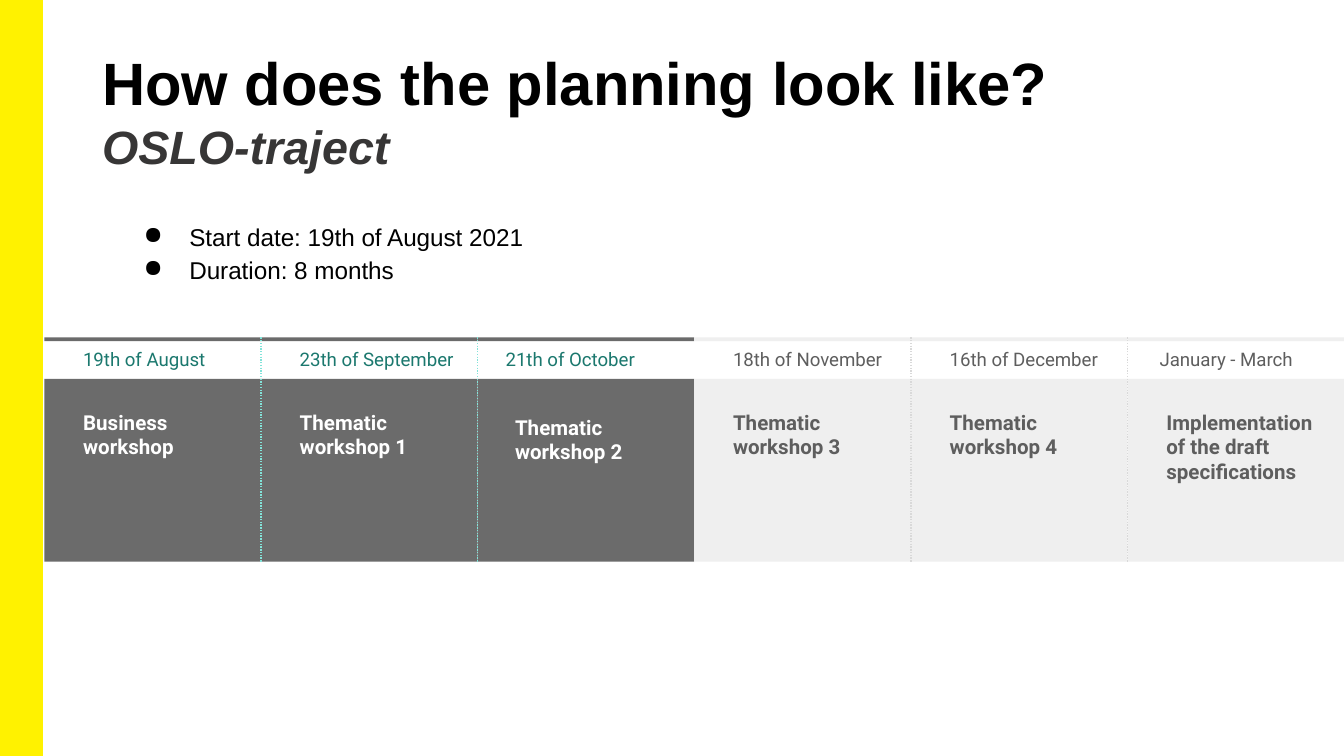
from lxml.etree import SubElement
from pptx import Presentation
from pptx.dml.color import RGBColor
from pptx.enum.dml import MSO_LINE
from pptx.enum.shapes import MSO_CONNECTOR, MSO_SHAPE
from pptx.enum.text import MSO_ANCHOR
from pptx.oxml.ns import qn
from pptx.util import Inches, Pt

DARK, LIGHT = "6B6B6B", "EFEFEF"
TEAL, GREY, WHITE, BLACK = "1B786E", "5E5E5E", "FFFFFF", "000000"


def color(value):
    return RGBColor.from_string(value)


class SlideBuilder:
    """Places styled elements; all lengths are percentages of the slide size."""

    def __init__(self, presentation):
        self.width = presentation.slide_width
        self.height = presentation.slide_height
        self.slide = presentation.slides.add_slide(presentation.slide_layouts[6])

    def frame(self, left, top, width, height):
        shares = ((left, self.width), (top, self.height),
                  (width, self.width), (height, self.height))
        return [round(share * full / 100) for share, full in shares]

    def rectangle(self, *box, fill):
        shape = self.slide.shapes.add_shape(MSO_SHAPE.RECTANGLE, *self.frame(*box))
        shape.shadow.inherit = False
        shape.fill.solid()
        shape.fill.fore_color.rgb = color(fill)
        shape.line.fill.background()
        return shape

    def text(self, *box, lines, insets=(0.1, 0.1), anchor=MSO_ANCHOR.TOP,
             spacing=1.0, bullet=None):
        """Each line is a pair of its words and a dict of font values."""
        shape = self.slide.shapes.add_textbox(*self.frame(*box))
        text_frame = shape.text_frame
        side, end = (Inches(inset) for inset in insets)
        frame_format = {"word_wrap": True, "vertical_anchor": anchor,
                        "margin_left": side, "margin_right": side,
                        "margin_top": end, "margin_bottom": end}
        for name, value in frame_format.items():
            setattr(text_frame, name, value)
        for index, (words, style) in enumerate(lines):
            paragraph = text_frame.paragraphs[0] if index == 0 else text_frame.add_paragraph()
            paragraph.line_spacing = spacing
            if bullet:
                self.add_bullet(paragraph, bullet)
            run = paragraph.add_run()
            run.text = words
            for name, value in style.items():
                if name == "color":
                    run.font.color.rgb = color(value)
                else:
                    setattr(run.font, name, value)

    def add_bullet(self, paragraph, character):
        properties = paragraph._p.get_or_add_pPr()
        properties.set("marL", str(Inches(0.5)))
        properties.set("indent", str(Inches(-0.34)))
        bullet_color = SubElement(properties, qn("a:buClr"))
        SubElement(bullet_color, qn("a:srgbClr"), val=BLACK)
        SubElement(properties, qn("a:buChar"), char=character)

    def dotted_line(self, left, top, bottom, stroke):
        x, start, _, length = self.frame(left, top, 0, bottom - top)
        connector = self.slide.shapes.add_connector(
            MSO_CONNECTOR.STRAIGHT, x, start, x, start + length)
        connector.line.color.rgb = color(stroke)
        connector.line.width = Pt(0.75)
        connector.line.dash_style = MSO_LINE.ROUND_DOT
        SubElement(connector._element.spPr, qn("a:effectLst"))


def font(size, fill, name="Arial", **extra):
    return {"size": Pt(size), "color": fill, "name": name, **extra}


def main():
    presentation = Presentation()
    presentation.slide_width = Inches(10)
    presentation.slide_height = Inches(5.625)
    builder = SlideBuilder(presentation)

    # Yellow side band
    band = builder.rectangle(0, 0, 3.1, 100, fill="FFF200")
    band.line.color.rgb = color("FFF200")
    band.line.width = Pt(1)

    # Title and key facts
    builder.text(6.9, 5.33, 86.2, 14.4, insets=(0.07, 0.04), lines=[
        ("How does the planning look like?", font(32, BLACK, bold=True)),
        ("OSLO-traject", font(25, "373636", bold=True, italic=True))])
    facts = ("Start date: 19th of August 2021", "Duration: 8 months")
    builder.text(8.1, 27.02, 81.8, 12.62, spacing=1.15, bullet="●",
                 lines=[(fact, font(13, BLACK)) for fact in facts])

    # Timeline: six equal columns from the band to the right edge
    first, step, top, bottom = 3.3, 16.12, 44.62, 74.31
    phases = [("19th of August", "Business workshop"),
              ("23th of September", "Thematic workshop 1"),
              ("21th of October", "Thematic workshop 2"),
              ("18th of November", "Thematic workshop 3"),
              ("16th of December", "Thematic workshop 4"),
              ("January - March", "Implementation of the draft specifications")]
    # Columns whose labels sit off the common position
    centred = {"anchor": MSO_ANCHOR.MIDDLE}
    date_places = {2: (1.1, 46.22, centred), 5: (1.4, top, {"spacing": 1.15})}
    name_places = {2: (1.8, 54.58, centred)}
    for column, (date, name) in enumerate(phases):
        left = first + column * step
        done = column < 3
        fill, date_color, name_color = (DARK, TEAL, WHITE) if done else (LIGHT, GREY, GREY)
        builder.rectangle(left, 50.13, step, 24.18, fill=fill)
        builder.rectangle(left, top, step, 0.53, fill=fill)
        shift, row, options = name_places.get(column, (1.9, 52.44, {}))
        builder.text(left + shift, row, 13.9 if column == 5 else 12.4, 7.11,
                     lines=[(name, font(11, name_color, "Roboto", bold=True))], **options)
        shift, row, options = date_places.get(column, (1.9, top, {"spacing": 1.15}))
        builder.text(left + shift, row, 14.3, 2.67,
                     lines=[(date, font(10, date_color, "Roboto"))], **options)

    # Dotted dividers between the columns
    for column in range(1, len(phases)):
        if column != 3:
            builder.dotted_line(first + column * step, top, bottom,
                                "83E3D9" if column < 3 else "D9D9D9")

    presentation.save("out.pptx")


if __name__ == "__main__":
    main()
